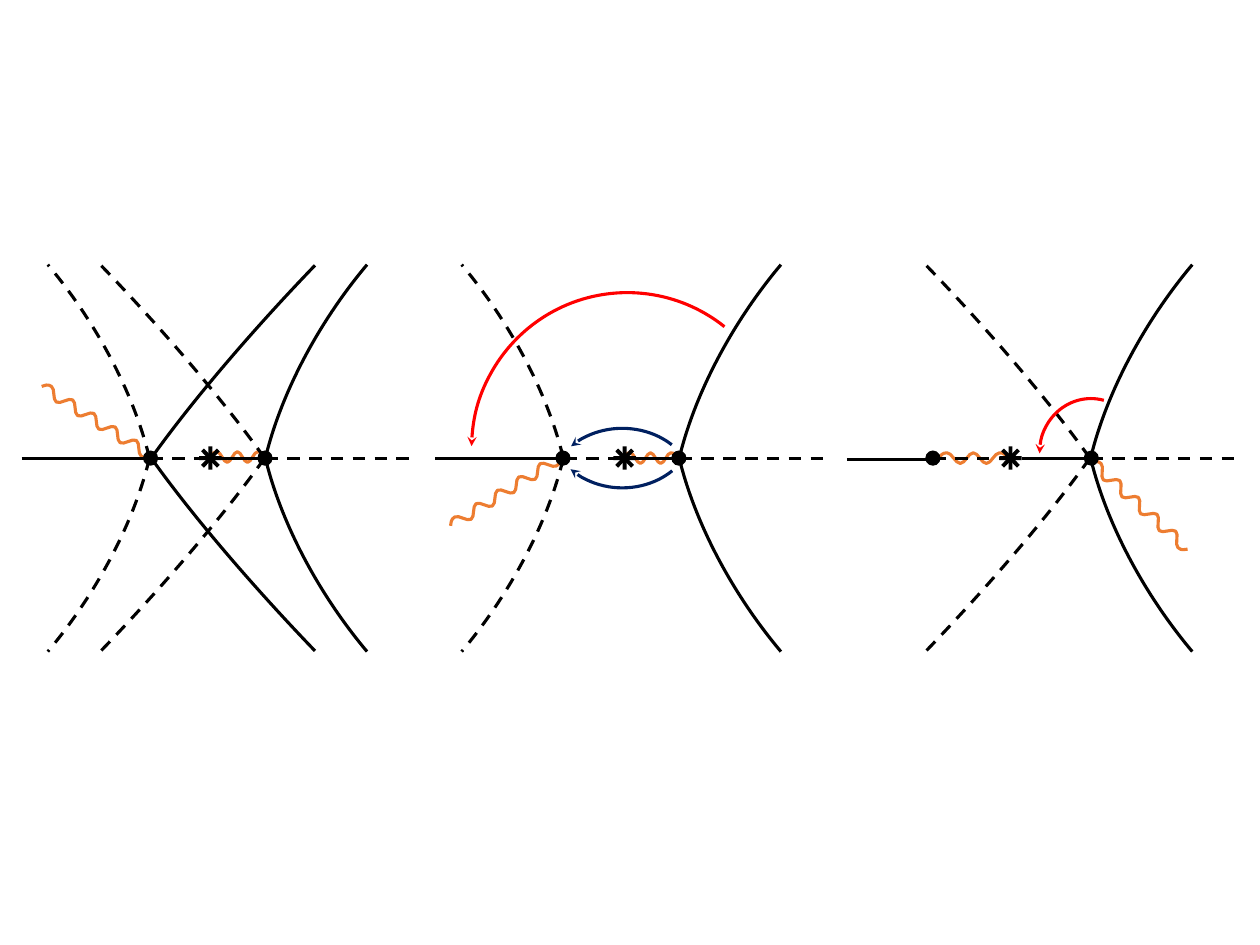
from lxml import etree
from pptx import Presentation
from pptx.dml.color import RGBColor
from pptx.enum import dml, shapes
from pptx.oxml.ns import qn
from pptx.util import Cm, Pt

BLACK, ORANGE, RED, NAVY = "000000", "ED7D31", "FF0000", "002060"
AXIS = 12.93  # height of the real axis, in cm

deck = Presentation()
deck.slide_width, deck.slide_height = Cm(35.56), Cm(26.67)
page = deck.slides.add_slide(deck.slide_layouts[6])


def stroke(shape, colour, dashed=False):
    shape.line.color.rgb = RGBColor.from_string(colour)
    shape.line.width = Pt(2.5)
    if dashed:
        shape.line.dash_style = dml.MSO_LINE.DASH
    etree.SubElement(shape._element.spPr, qn("a:effectLst"))


def bezier(points, colour, dashed=False):
    """Draw a chain of cubic curves: a start, then three points per curve."""
    start, *rest = [(Cm(x), Cm(y)) for x, y in points]
    builder = page.shapes.build_freeform(*start, scale=1.0)
    builder.add_line_segments(rest, close=False)
    shape = builder.convert_to_shape()
    steps = list(shape._element.spPr.iter(qn("a:lnTo")))
    for i in range(0, len(steps), 3):
        cubic = etree.Element(qn("a:cubicBezTo"))
        steps[i].addprevious(cubic)
        for step in steps[i:i + 3]:
            cubic.append(step[0])
            step.getparent().remove(step)
    shape.fill.background()
    stroke(shape, colour, dashed)
    return shape


# Branch cuts: centre x, centre y, width, number of crests and troughs, rotation
waves = [
    (18.36, AXIS, 1.52, 5, 0), (32.16, 14.27, 3.66, 10, 42.2),
    (27.47, AXIS, 1.96, 5, 0), (14.27, 13.87, 3.66, 10, 328),
    (2.72, 11.89, 3.66, 10, 32.5), (6.7, AXIS - 0.03, 1.52, 5, 0),
]
for x, y, width, count, angle in waves:
    gap = width / (count + 0.3)
    left, right, pull = x - width / 2, x + width / 2, 0.37 * gap
    points = [(left, y), (left + 0.2 * gap, y - 0.08)]
    for i in range(count):
        turn = left + (0.65 + i) * gap
        level = y + (0.15 if i % 2 else -0.15)
        points += [(turn + shift, level) for shift in (-pull, 0, pull)]
    side = 0.08 if count % 2 == 0 else -0.08
    points += [(right - 0.2 * gap, y + side), (right, y)]
    bezier(points, ORANGE).rotation = angle

# Stokes curves leaving a turning point, as offsets to the upper right
STEEP = [(0, 0), (0.46, 1.9), (1.55, 3.89), (2.87, 5.46)]
SHALLOW = [(0, 0), (1.27, 1.78), (3.05, 3.81), (4.62, 5.44)]

# Panels: axis lines (from, to, dashed, y), turning points, pole, curves (x, kind, side)
panels = [
    ([(4.24, 6.15, True, AXIS), (0.61, 4.22, False, AXIS),
      (7.49, 11.56, True, AXIS), (5.89, 7.49, False, AXIS)],
     (4.25, 7.48), 5.94,
     [(4.22, STEEP, -1), (7.49, STEEP, 1), (7.47, SHALLOW, -1), (4.27, SHALLOW, 1)]),
    ([(15.93, 17.83, True, AXIS), (12.29, 15.9, False, AXIS),
      (19.18, 23.27, True, AXIS), (17.58, 19.18, False, AXIS)],
     (15.89, 19.16), 17.63,
     [(15.9, STEEP, -1), (19.17, STEEP, 1)]),
    ([(26.34, 28.37, True, AXIS), (23.9, 26.37, False, AXIS + 0.03),
      (30.78, 34.87, True, AXIS), (28.85, 30.68, False, AXIS)],
     (26.33, 30.8), 28.52,
     [(30.78, STEEP, 1), (30.76, SHALLOW, -1)]),
]
for lines, dots, pole, curves in panels:
    # Axis
    for start, end, dashed, y in lines:
        line = page.shapes.add_connector(
            shapes.MSO_CONNECTOR.STRAIGHT, Cm(start), Cm(y), Cm(end), Cm(y))
        stroke(line, BLACK, dashed)

    # Turning points and the pole's star
    star = page.shapes.add_group_shape()
    marks = [(page, shapes.MSO_SHAPE.OVAL, x, 0.43, 0.43) for x in dots]
    marks += [(star, kind, pole, 0.86, 0.89)
              for kind in (shapes.MSO_SHAPE.MATH_PLUS, shapes.MSO_SHAPE.MATH_MULTIPLY)]
    for parent, kind, x, width, height in marks:
        mark = parent.shapes.add_shape(
            kind, Cm(x - width / 2), Cm(AXIS - height / 2), Cm(width), Cm(height))
        if parent is star:
            mark.adjustments[0] = 0.13
        mark.fill.solid()
        mark.fill.fore_color.rgb = RGBColor.from_string(BLACK)
        mark.line.fill.background()
        mark.shadow.inherit = False

    # Each curve and its mirror below the axis; those going left are dashed
    for x, kind, side in curves:
        for vertical in (-1, 1):
            bezier([(x + side * dx, AXIS + vertical * dy) for dx, dy in kind],
                   BLACK, side < 0)

# Rotation arrows: left, top, width, height, start and end angle, flipped, colour
arrows = [
    (13.31, 8.26, 8.79, 8.79, 180.81, 308.63, False, RED),
    (29.34, 11.25, 2.9, 3.05, 179.07, 283.84, False, RED),
    (15.52, 12.09, 4.09, 3.45, 220.07, 317.91, False, NAVY),
    (15.52, 10.26, 4.09, 3.51, 220.07, 317.91, True, NAVY),
]
for left, top, width, height, start, end, flipped, colour in arrows:
    arc = page.shapes.add_shape(
        shapes.MSO_SHAPE.ARC, Cm(left), Cm(top), Cm(width), Cm(height))
    arc.adjustments[0], arc.adjustments[1] = start * 0.6, end * 0.6
    if flipped:
        arc._element.spPr.xfrm.set("flipV", "1")
    arc.fill.background()
    stroke(arc, colour)
    etree.SubElement(arc.line._get_or_add_ln(), qn("a:headEnd"), type="stealth")

deck.save("out.pptx")
